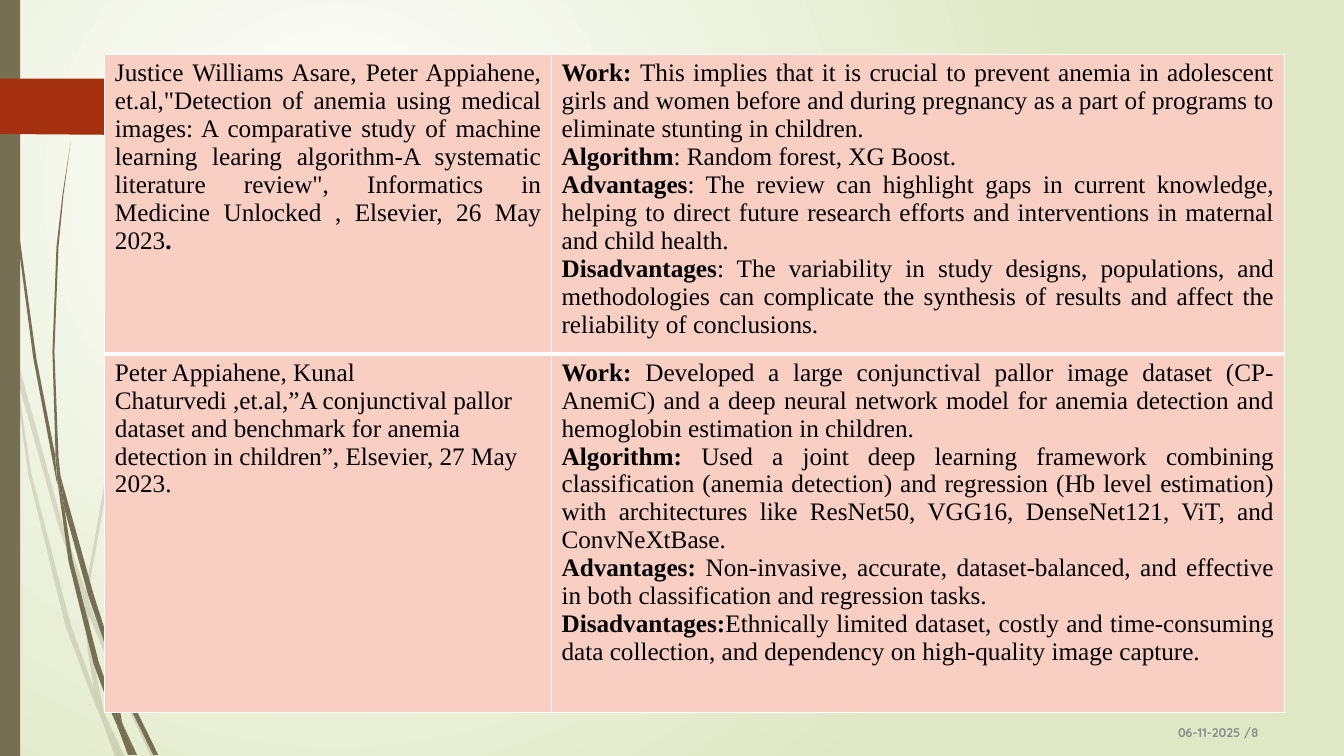
"""Build the literature survey slide with its reed border."""
from lxml import etree
from pptx import Presentation
from pptx import util as u
from pptx.dml import color
from pptx.enum import shapes, text
from pptx.oxml import ns

THEME = {
    "reed": "766F54", "tab": "A53010", "cell": "F9CFC3", "line": "FFFFFF",
    "glow": ("FFFFFF", "DFE8C4"),
    "body": {"name": "Times New Roman", "size": u.Pt(18), "color": "000000"},
    "foot": {"name": "Quicksand", "size": u.Pt(9), "color": "8C8C8C"},
}

PALE = [
    [(0.11, 3.5), (0.09, 3.22), (0, 2.82), (0, 2.99), (0.1, 3.44)],
    [(0.58, 5.22), (0.84, 5.99), (0.85, 5.86), (0.62, 5.2), (0.14, 3.45), (0.17, 3.76)],
    [(0.92, 6.07), (0.88, 5.96), (0.88, 6.1), (1.23, 6.94), (1.5, 7.51), (1.55, 7.51), (1.27, 6.92)],
    [(1.19, 7.51), (1.24, 7.51), (1.05, 7.11)],
    [(0.93, 6.83), (0.7, 6.19), (0.31, 4.69), (0.17, 3.76), (0.11, 3.5), (0.28, 4.7), (0.65, 6.21),
     (0.92, 6.93), (1.01, 7.14), (0.99, 7.07)],
    [(0.84, 5.99), (0.87, 6.46), (0.93, 6.83), (0.96, 6.92), (1.05, 7.11), (1.03, 7.06), (0.91, 6.46),
     (0.88, 6.1), (0.88, 6.08)],
    [(0.88, 5.84), (1.1, 4.62), (1.6, 3.49), (2.29, 2.45), (2.68, 1.98), (2.9, 1.75), (3.12, 1.54), (3.12, 1.53),
     (2.89, 1.75), (2.68, 1.97), (2.28, 2.44), (1.58, 3.48), (1.07, 4.61), (0.85, 5.84), (0.85, 5.86), (0.88, 5.96)],
    [(1.01, 7.14), (1.14, 7.51), (1.19, 7.51)],
    [(0.88, 6.08), (0.88, 6.1), (0.88, 5.96), (0.85, 5.86), (0.84, 5.99)],
    [(0.96, 6.92), (0.93, 6.83), (0.99, 7.07), (1.01, 7.14), (1.19, 7.51), (1.05, 7.11)],
]
DARK = [
    [(0.07, 1.1), (0.17, 2.33), (0.33, 3.55), (0.56, 4.77), (0.57, 4.81), (0.55, 4.57), (0.55, 4.53),
     (0.36, 3.55), (0.19, 2.32), (0.08, 1.09), (0.05, 0.48), (0.04, 0), (0.03, 0), (0.04, 0.48)],
    [(0.88, 5.92), (1.06, 6.45), (1.06, 6.33), (1.06, 6.31), (0.93, 5.9), (0.6, 4.72), (0.64, 5.05)],
    [(1.13, 6.49), (1.1, 6.41), (1.11, 6.56), (1.32, 7.08), (1.52, 7.49), (1.57, 7.49), (1.36, 7.06)],
    [(1.1, 6.91), (0.98, 6.57), (0.72, 5.56), (0.64, 5.05), (0.57, 4.77), (0.68, 5.57), (0.93, 6.59),
     (1.11, 7.08), (1.17, 7.22), (1.16, 7.17)],
    [(0.6, 4.72), (0.58, 4.53), (0.54, 3.49), (0.58, 2.45), (0.63, 1.93), (0.7, 1.41), (0.62, 1.93),
     (0.56, 2.45), (0.52, 3.49), (0.55, 4.49)],
    [(1.33, 7.49), (1.36, 7.49), (1.22, 7.19)],
    [(0.57, 4.77), (0.64, 5.05), (0.6, 4.72), (0.55, 4.49), (0.55, 4.53)],
    [(1.11, 6.33), (1.25, 5.52), (1.58, 4.76), (2.05, 4.06), (2.31, 3.74), (2.45, 3.59), (2.61, 3.44), (2.6, 3.44),
     (2.45, 3.58), (2.31, 3.73), (2.04, 4.05), (1.56, 4.74), (1.22, 5.51), (1.06, 6.31), (1.1, 6.41)],
    [(1.17, 7.22), (1.27, 7.49), (1.31, 7.49)],
    [(1.06, 6.45), (1.1, 6.91), (1.16, 7.06), (1.22, 7.19), (1.21, 7.16), (1.11, 6.56), (1.09, 6.51)],
    [(1.06, 6.45), (1.09, 6.51), (1.11, 6.56), (1.1, 6.41), (1.06, 6.31), (1.06, 6.33)],
    [(1.16, 7.06), (1.1, 6.91), (1.16, 7.17), (1.17, 7.22), (1.3, 7.49), (1.33, 7.49), (1.22, 7.19)],
]
TAB = [(1.73, 1.08), (1.48, 1.33), (1.46, 1.34), (1.36, 1.34), (0, 1.33), (0, 0.78), (1.46, 0.78), (1.48, 0.79),
       (1.73, 1.04)]

JUST, LEFT = text.PP_ALIGN.JUSTIFY, text.PP_ALIGN.LEFT
PAPERS = [
    [(JUST, [
        "Justice Williams Asare, Peter Appiahene, et.al,\"Detection of anemia using medical images: A comparative "
        "study of machine learning learing algorithm-A systematic literature review\", Informatics in Medicine "
        "Unlocked , Elsevier, 26 May 2023*.*"]),
     (JUST, [
         "*Work: *This implies that it is crucial to prevent anemia in adolescent girls and women before and during "
         "pregnancy as a part of programs to eliminate stunting in children.",
         "*Algorithm*: Random forest, XG Boost.",
         "*Advantages*: The review can highlight gaps in current knowledge, helping to direct future research "
         "efforts and interventions in maternal and child health.",
         "*Disadvantages*: The variability in study designs, populations, and methodologies can complicate the "
         "synthesis of results and affect the reliability of conclusions."])],
    [(LEFT, [
        "Peter Appiahene, Kunal Chaturvedi ,et.al,”A conjunctival pallor dataset and benchmark for anemia "
        "detection in children”, Elsevier, 27 May 2023."]),
     (JUST, [
         "*Work: *Developed a large conjunctival pallor image dataset (CP-AnemiC) and a deep neural network model "
         "for anemia detection and hemoglobin estimation in children.",
         "*Algorithm: *Used a joint deep learning framework combining classification (anemia detection) and "
         "regression (Hb level estimation) with architectures like ResNet50, VGG16, DenseNet121, ViT, and ConvNeXtBase.",
         "*Advantages: *Non-invasive, accurate, dataset-balanced, and effective in both classification and "
         "regression tasks.",
         "*Disadvantages:*Ethnically limited dataset, costly and time-consuming data collection, and dependency on "
         "high-quality image capture."])],
]


class Deck:
    """Hold the theme and the current slide."""

    def __init__(self, theme):
        self.theme = theme
        self.prs = Presentation()
        self.prs.slide_width, self.prs.slide_height = u.Inches(13.33), u.Inches(7.5)
        self.slide = self.prs.slides.add_slide(self.prs.slide_layouts[6])

    def glow(self):
        fill = self.slide.background.fill
        fill.gradient()
        for stop, tone in zip(fill.gradient_stops, self.theme["glow"]):
            stop.color.rgb = color.RGBColor.from_string(tone)
        grad = self.slide.element.find(".//" + ns.qn("a:gradFill"))
        grad.remove(grad.find(ns.qn("a:lin")))
        ring = etree.SubElement(grad, ns.qn("a:path"), {"path": "circle"})
        etree.SubElement(ring, ns.qn("a:fillToRect"), l="50000", t="50000", r="100000", b="100000")

    def paint(self, shape, tone, alpha=None):
        shape.shadow.inherit = False
        shape.line.fill.background()
        shape.fill.solid()
        shape.fill.fore_color.rgb = color.RGBColor.from_string(self.theme[tone])
        if alpha:
            rgb = shape.element.spPr.find(ns.qn("a:solidFill"))[0]
            etree.SubElement(rgb, ns.qn("a:alpha"), val=str(alpha * 1000))

    def bar(self, box, tone):
        kind = shapes.MSO_SHAPE.RECTANGLE
        self.paint(self.slide.shapes.add_shape(kind, *map(u.Inches, box)), tone)

    def form(self, home, dots, tone, alpha=None):
        dots = [(u.Inches(x), u.Inches(y)) for x, y in dots]
        pen = home.build_freeform(*dots[0])
        pen.add_line_segments(dots[1:], close=True)
        self.paint(pen.convert_to_shape(), tone, alpha)

    def reeds(self, blades, alpha=None):
        home = self.slide.shapes.add_group_shape().shapes
        for dots in blades:
            self.form(home, dots, "reed", alpha)

    def fill_text(self, frame, lines, align, style):
        for i, line in enumerate(lines):
            para = frame.paragraphs[0] if i == 0 else frame.add_paragraph()
            para.alignment = align
            for j, part in enumerate(line.split("*")):
                if part:
                    run = para.add_run()
                    run.text = part
                    for key, val in {**self.theme[style], "bold": j % 2 == 1}.items():
                        if key == "color":
                            run.font.color.rgb = color.RGBColor.from_string(val)
                        else:
                            setattr(run.font, key, val)

    def edge(self, cell, sides):
        props = cell._tc.get_or_add_tcPr()
        for i, (side, width) in enumerate(sides.items()):
            line = etree.Element(ns.qn("a:ln" + side), w=str(int(u.Pt(width))))
            fill = etree.SubElement(line, ns.qn("a:solidFill"))
            etree.SubElement(fill, ns.qn("a:srgbClr"), val=self.theme["line"])
            props.insert(i, line)

    def table(self, spot, cols, rows, data):
        size = (sum(cols), sum(rows))
        grid = self.slide.shapes.add_table(len(rows), len(cols), *map(u.Inches, spot + size)).table
        for key in ("first_row", "horz_banding"):
            setattr(grid, key, False)
        for col, width in zip(grid.columns, cols):
            col.width = u.Inches(width)
        for r, (row, tall) in enumerate(zip(grid.rows, rows)):
            row.height = u.Inches(tall)
            top, low = (3 if r else 1), (1 if r == len(rows) - 1 else 3)
            for cell, (align, lines) in zip(row.cells, data[r]):
                cell.fill.solid()
                cell.fill.fore_color.rgb = color.RGBColor.from_string(self.theme["cell"])
                self.edge(cell, {"L": 1, "R": 1, "T": top, "B": low})
                self.fill_text(cell.text_frame, lines, align, "body")

    def note(self, box, line):
        frame = self.slide.shapes.add_textbox(*map(u.Inches, box)).text_frame
        look = {"word_wrap": True, "vertical_anchor": text.MSO_ANCHOR.MIDDLE}
        for key, val in look.items():
            setattr(frame, key, val)
        self.fill_text(frame, [line], text.PP_ALIGN.RIGHT, "foot")


def main():
    deck = Deck(THEME)
    deck.glow()
    deck.reeds(PALE, 20)
    deck.reeds(DARK)
    deck.bar((0, 0, 0.2, 7.5), "reed")
    deck.form(deck.slide.shapes, TAB, "tab")
    deck.table((1.04, 0.54), (4.43, 7.27), (2.97, 3.56), PAPERS)
    deck.note((11.33, 6.7, 1.25, 1.14), "*06-11-2025 /8*")
    deck.prs.save("out.pptx")


if __name__ == "__main__":
    main()
